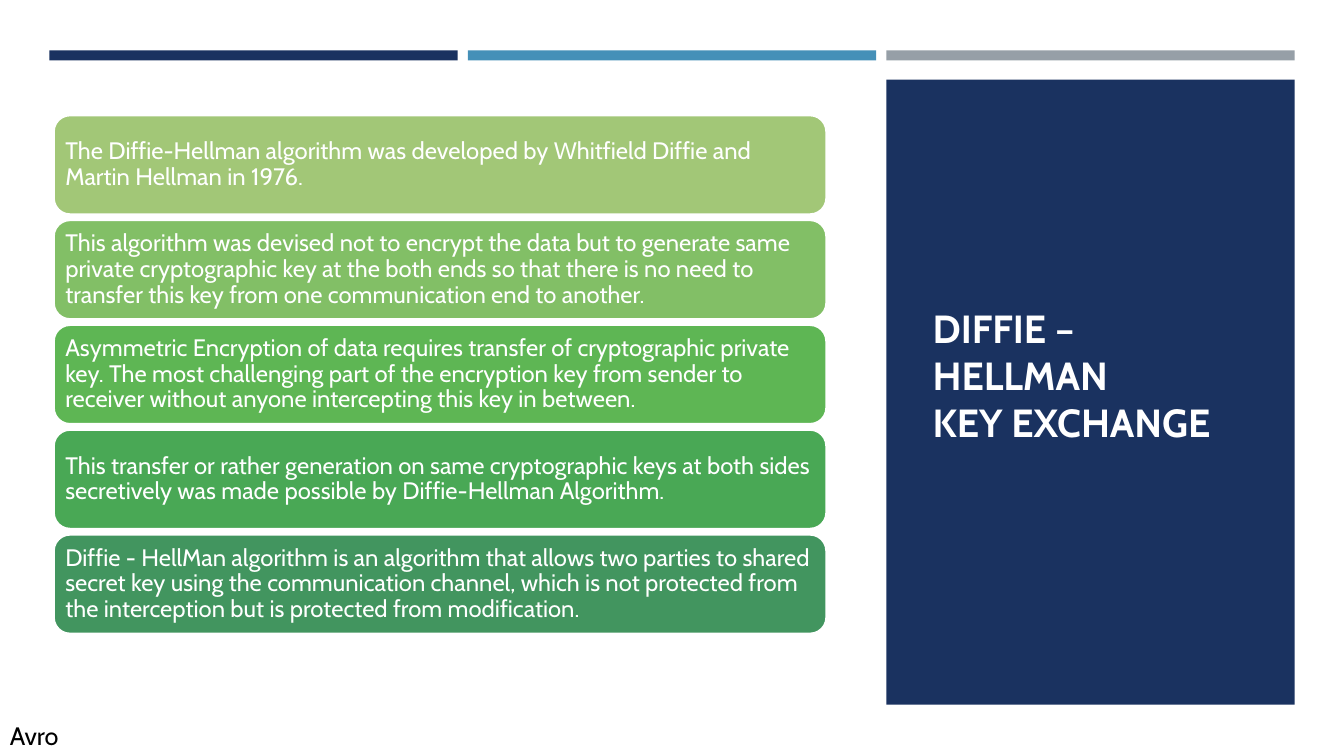
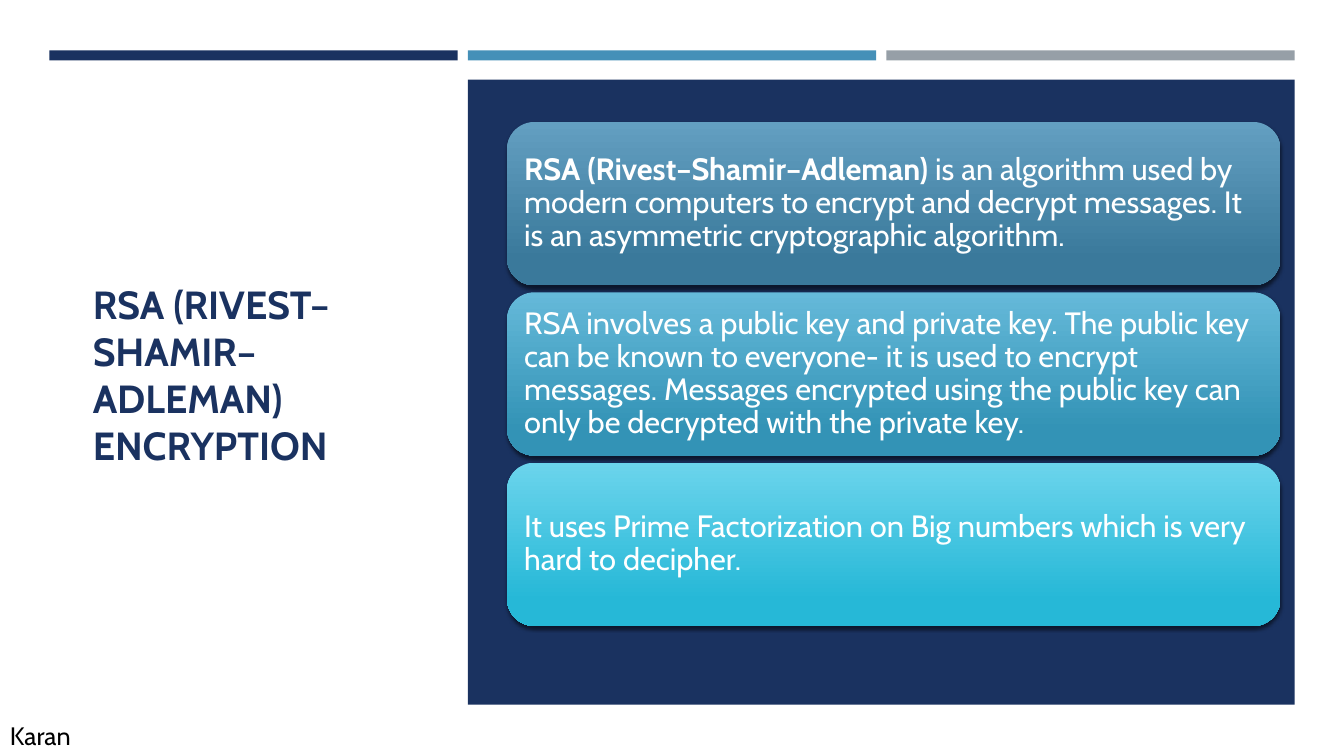
from dataclasses import dataclass

import lxml.etree
import pptx
import pptx.dml.color
import pptx.enum.shapes
import pptx.enum.text
import pptx.oxml.ns
import pptx.util

RGB = pptx.dml.color.RGBColor
SHAPE = pptx.enum.shapes.MSO_SHAPE
ANCHOR = pptx.enum.text.MSO_ANCHOR
FIT = pptx.enum.text.MSO_AUTO_SIZE
ALIGN = pptx.enum.text.PP_ALIGN

# Shared look: 100 px to the inch
PX = 9144
WIDE, HIGH = 1333, 750
FONT = "Cabin"
NAVY = RGB(0x1A, 0x32, 0x60)
BLUE = RGB(0x45, 0x90, 0xB8)
GREY = RGB(0x96, 0x9F, 0xA7)
WHITE = RGB(0xFF, 0xFF, 0xFF)
BLACK = RGB(0x00, 0x00, 0x00)
BAR_LEFT, BAR_TOP, BAR_WIDE, BAR_HIGH, BAR_STEP = 49, 50, 405, 10, 415
PANEL_TOP, PANEL_HIGH = 79, 620


@dataclass
class Card:
    text: str
    fill: RGB
    foot: RGB | None = None  # lower gradient colour
    lead: str = ""  # bold opening words


@dataclass
class Stack:
    left: int
    top: int
    wide: int
    high: int
    step: int
    inset: int
    size: int
    cards: list[Card]


@dataclass
class Page:
    title: str
    ink: RGB
    left: int  # title
    side: int  # first bar column under which the panel starts
    author: str
    stack: Stack


PAGES = [
    Page("DIFFIE – HELLMAN\vKEY EXCHANGE", WHITE, 915, 2, "Avro",
         Stack(53, 114, 767, 99, 104, 7, 17, [
             Card("The Diffie-Hellman algorithm was developed by Whitfield Diffie and "
                  "Martin Hellman in 1976.", RGB(0xA2, 0xC7, 0x77)),
             Card("This algorithm was devised not to encrypt the data but to generate same "
                  "private cryptographic key at the both ends so that there is no need to "
                  "transfer this key from one communication end to another.",
                  RGB(0x82, 0xBF, 0x66)),
             Card("Asymmetric Encryption of data requires transfer of cryptographic private "
                  "key. The most challenging part of the encryption key from sender to "
                  "receiver without anyone intercepting this key in between.",
                  RGB(0x5E, 0xB6, 0x54)),
             Card("This transfer or rather generation on same cryptographic keys at both "
                  "sides secretively was made possible by Diffie-Hellman Algorithm.",
                  RGB(0x49, 0xA8, 0x55)),
             Card("Diffie - HellMan algorithm is an algorithm that allows two parties to "
                  "shared secret key using the communication channel, which is not protected "
                  "from the interception but is protected from modification.",
                  RGB(0x42, 0x95, 0x5F)),
         ])),
    Page("RSA (RIVEST–SHAMIR–ADLEMAN) ENCRYPTION", NAVY, 82, 1, "Karan",
         Stack(503, 121, 767, 162, 169, 9, 22, [
             Card(" is an algorithm used by modern computers to encrypt and decrypt messages. "
                  "It is an asymmetric cryptographic algorithm.",
                  RGB(0x63, 0x9F, 0xC1), RGB(0x3A, 0x79, 0x9B),
                  "RSA (Rivest–Shamir–Adleman)"),
             Card("RSA involves a public key and private key. The public key can be known to "
                  "everyone- it is used to encrypt messages. Messages encrypted using the "
                  "public key can only be decrypted with the private key.",
                  RGB(0x65, 0xB9, 0xD9), RGB(0x33, 0x93, 0xB6)),
             Card("It uses Prime Factorization on Big numbers which is very hard to decipher.",
                  RGB(0x6B, 0xD4, 0xEC), RGB(0x26, 0xB8, 0xD7)),
         ])),
]


def box(slide, kind, left: int, top: int, wide: int, high: int, fill: RGB):
    """Add a flat filled shape without outline or shadow."""
    shape = slide.shapes.add_shape(kind, left * PX, top * PX, wide * PX, high * PX)
    shape.shadow.inherit = False
    shape.fill.solid()
    shape.fill.fore_color.rgb = fill
    shape.line.fill.background()
    return shape


def style(para, size: int, ink: RGB, bold: bool = False) -> None:
    para.alignment = ALIGN.LEFT
    para.font.name = FONT
    para.font.size = pptx.util.Pt(size)
    para.font.color.rgb = ink
    para.font.bold = bold


def shade(shape, head: RGB, foot: RGB) -> None:
    """Give a shape a downward gradient and a soft shadow."""
    shape.fill.gradient()
    shape.fill.gradient_angle = 270
    for stop, tint, place in zip(shape.fill.gradient_stops, (head, foot), (0, 0.84)):
        stop.color.rgb = tint
        stop.position = place
    qn = pptx.oxml.ns.qn
    effects = shape._element.spPr.find(qn("a:effectLst"))
    cast = lxml.etree.SubElement(
        effects, qn("a:outerShdw"), blurRad=str(pptx.util.Pt(3)),
        dist=str(pptx.util.Pt(2)), dir="5400000", algn="ctr", rotWithShape="0")
    tint = lxml.etree.SubElement(cast, qn("a:srgbClr"), val=str(BLACK))
    lxml.etree.SubElement(tint, qn("a:alpha"), val="55000")


def draw_card(slide, stack: Stack, card: Card, top: int) -> None:
    shape = box(slide, SHAPE.ROUNDED_RECTANGLE, stack.left, top,
                stack.wide, stack.high, card.fill)
    if card.foot is not None:
        shade(shape, card.fill, card.foot)
    else:
        shape.line.color.rgb = WHITE
        shape.line.width = pptx.util.Pt(2)
    frame = shape.text_frame
    frame.word_wrap = True
    frame.vertical_anchor = ANCHOR.MIDDLE
    frame.margin_left = frame.margin_right = stack.inset * PX
    frame.margin_top = frame.margin_bottom = stack.inset * PX
    para = frame.paragraphs[0]
    style(para, stack.size, WHITE)
    para.line_spacing = 0.9
    if card.lead:
        lead = para.add_run()
        lead.text = card.lead
        lead.font.bold = True
    para.add_run().text = card.text


def draw_bands(slide, side: int) -> None:
    for col, tint in enumerate((NAVY, BLUE, GREY)):
        box(slide, SHAPE.RECTANGLE, BAR_LEFT + col * BAR_STEP, BAR_TOP,
            BAR_WIDE, BAR_HIGH, tint)
    box(slide, SHAPE.RECTANGLE, BAR_LEFT + side * BAR_STEP, PANEL_TOP,
        BAR_WIDE + (2 - side) * BAR_STEP, PANEL_HIGH, NAVY)


def draw_title(slide, page: Page) -> None:
    title = slide.shapes.title
    title.left, title.top = page.left * PX, 114 * PX
    title.width, title.height = 334 * PX, 515 * PX
    frame = title.text_frame
    frame.text = page.title
    frame.word_wrap = True
    frame.auto_size = FIT.NONE
    frame.vertical_anchor = ANCHOR.MIDDLE
    style(frame.paragraphs[0], 28, page.ink, True)
    slide.shapes._spTree.append(title._element)  # in front of the panel


def draw_author(slide, name: str) -> None:
    label = slide.shapes.add_textbox(0, 710 * PX, 82 * PX, 40 * PX)
    frame = label.text_frame
    frame.text = name
    frame.word_wrap = True
    frame.auto_size = FIT.SHAPE_TO_FIT_TEXT
    style(frame.paragraphs[0], 18, BLACK)


def main() -> None:
    deck = pptx.Presentation()
    deck.slide_width, deck.slide_height = WIDE * PX, HIGH * PX
    for page in PAGES:
        slide = deck.slides.add_slide(deck.slide_layouts[5])
        draw_bands(slide, page.side)
        draw_title(slide, page)
        for row, card in enumerate(page.stack.cards):
            draw_card(slide, page.stack, card, page.stack.top + row * page.stack.step)
        draw_author(slide, page.author)
    deck.save("out.pptx")


if __name__ == "__main__":
    main()
